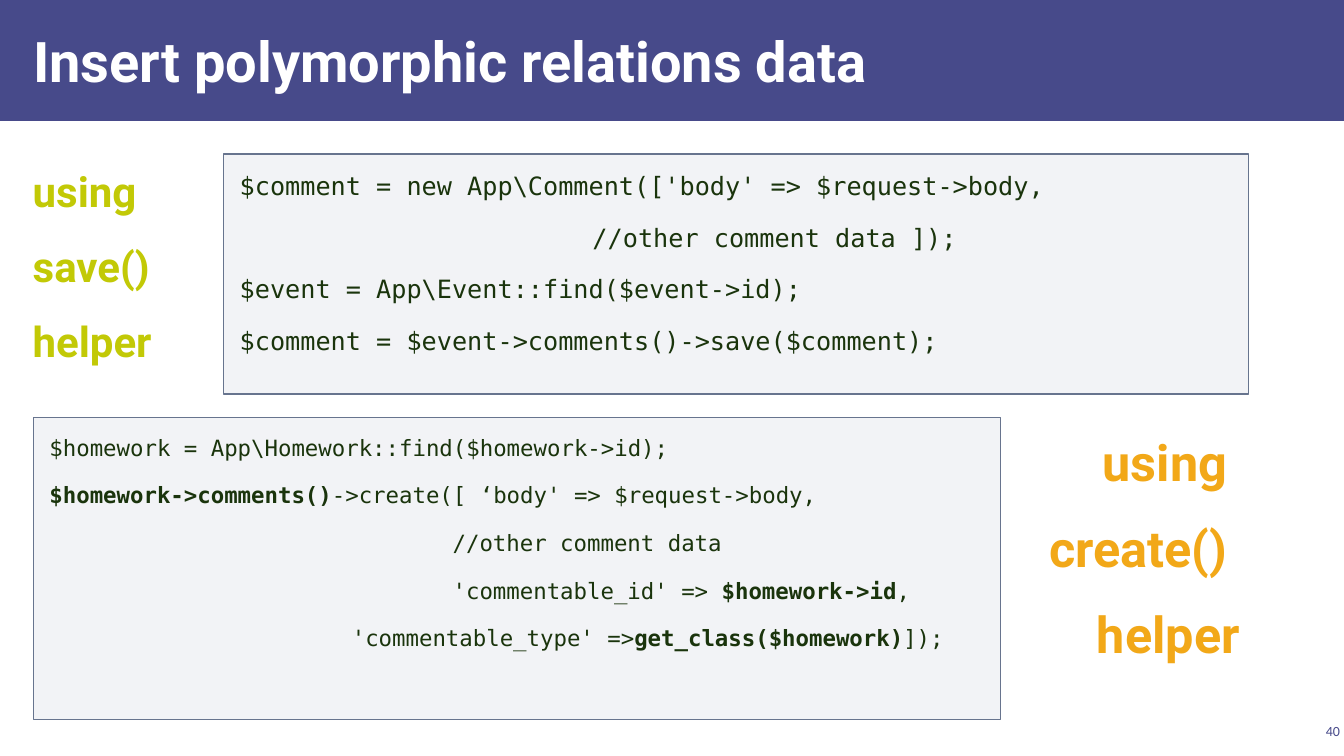
from lxml.etree import SubElement
from pptx import Presentation
from pptx.dml.color import RGBColor
from pptx.enum.shapes import MSO_SHAPE
from pptx.enum.text import MSO_ANCHOR, PP_ALIGN
from pptx.oxml.ns import qn
from pptx.util import Pt

COLORS = {
    "band": "474A8A", "white": "FFFFFF", "save": "C2C906", "create": "F2A818",
    "panel": "ACB4C3", "border": "67748E", "code": "1A340C",
}
PANEL_OPACITY = 15
W, H = 960, 540

# Each code line is (indent, text); ** switches bold on and off
SAVE_CODE = [
    (0, "$comment = new App\\Comment(['body' => $request->body,"),
    (252, "//other comment data ]);"),
    (0, "$event = App\\Event::find($event->id);"),
    (0, "$comment = $event->comments()->save($comment);"),
]
CREATE_CODE = [
    (0, "$homework = App\\Homework::find($homework->id);"),
    (0, "**$homework->comments()**->create([ ‘body' => $request->body,"),
    (288, "//other comment data"),
    (288, "'commentable_id' => **$homework->id**,"),
    (216, "'commentable_type' =>**get_class($homework)**]);"),
]


def rgb(name):
    return RGBColor.from_string(COLORS[name])


def set_frame(tf, inset_x, inset_y, anchor=MSO_ANCHOR.TOP):
    frame = {
        "word_wrap": True, "vertical_anchor": anchor,
        "margin_left": Pt(inset_x), "margin_right": Pt(inset_x),
        "margin_top": Pt(inset_y), "margin_bottom": Pt(inset_y),
    }
    for key, value in frame.items():
        setattr(tf, key, value)


def write_lines(tf, lines, color, align=PP_ALIGN.LEFT, spacing=1.15, **font):
    for i, (indent, text) in enumerate(lines):
        p = tf.add_paragraph() if i else tf.paragraphs[0]
        layout = {"alignment": align, "line_spacing": spacing,
                  "space_before": Pt(12 if i else 0)}
        for key, value in layout.items():
            setattr(p, key, value)
        if indent:
            pPr = p._p.get_or_add_pPr()
            pPr.set("marL", str(Pt(indent)))
            pPr.set("indent", "0")
        for j, part in enumerate(text.split("**")):
            r = p.add_run()
            r.text = part
            for key, value in ({"bold": j % 2 == 1} | font).items():
                setattr(r.font, key, value)
            r.font.color.rgb = rgb(color)


def add_rect(s, box, fill):
    sp = s.shapes.add_shape(MSO_SHAPE.RECTANGLE, *map(Pt, box))
    sp.shadow.inherit = False
    sp.fill.solid()
    sp.fill.fore_color.rgb = rgb(fill)
    return sp


def add_header(s, x, y, w, h):
    band = add_rect(s, (x, y, w, h), "band")
    band.line.fill.background()
    title = s.shapes.add_textbox(Pt(x + 15), Pt(y + 8), Pt(w - 211), Pt(h - 16))
    set_frame(title.text_frame, 8.64, 2.88, MSO_ANCHOR.MIDDLE)
    write_lines(title.text_frame, [(0, "Insert polymorphic relations data")],
                "white", spacing=1, name="Roboto", size=Pt(40), bold=True)


def add_label(s, x, y, w, h, words, color, size, align):
    tb = s.shapes.add_textbox(*map(Pt, (x, y, w, h)))
    set_frame(tb.text_frame, 8.64, 2.88)
    write_lines(tb.text_frame, [(0, word) for word in words], color, align,
                name="Roboto", size=Pt(size), bold=True)


def add_code_panel(s, x, y, w, h, lines, size):
    sp = add_rect(s, (x, y, w, h), "panel")
    fill_color = sp._element.spPr.find(qn("a:solidFill"))[0]
    SubElement(fill_color, qn("a:alpha"), val=str(PANEL_OPACITY * 1000))
    sp.line.color.rgb = rgb("border")
    sp.line.width = Pt(1)
    set_frame(sp.text_frame, 11.52, 8.64)
    write_lines(sp.text_frame, lines, "code", name="DejaVu Sans Mono", size=Pt(size))


def add_page_number(s, x, y, w, h, number):
    tb = s.shapes.add_textbox(*map(Pt, (x, y, w, h)))
    set_frame(tb.text_frame, 2.88, 2.88, MSO_ANCHOR.MIDDLE)
    write_lines(tb.text_frame, [(0, str(number))], "band", PP_ALIGN.RIGHT,
                spacing=1, name="Calibri", size=Pt(10))


def main():
    prs = Presentation()
    prs.slide_width, prs.slide_height = Pt(W), Pt(H)
    s = prs.slides.add_slide(prs.slide_layouts[6])

    add_header(s, 0, 0, W, 86.4)

    # Upper row: save() helper
    add_label(s, 14.7, 110, 145, 171.4, ["using", "save()", "helper"],
              "save", 30, PP_ALIGN.LEFT)
    add_code_panel(s, 159.7, 110, 732, 171.4, SAVE_CODE, 18)

    # Lower row: create() helper
    add_code_panel(s, 23.8, 298.3, 691, 215.5, CREATE_CODE, 16)
    add_label(s, 714.8, 298.3, 179.4, 215.5, ["using ", "create() ", "helper"],
              "create", 36, PP_ALIGN.RIGHT)

    add_page_number(s, W - 34, 514, 34, 16, 40)
    prs.save("out.pptx")


if __name__ == "__main__":
    main()
